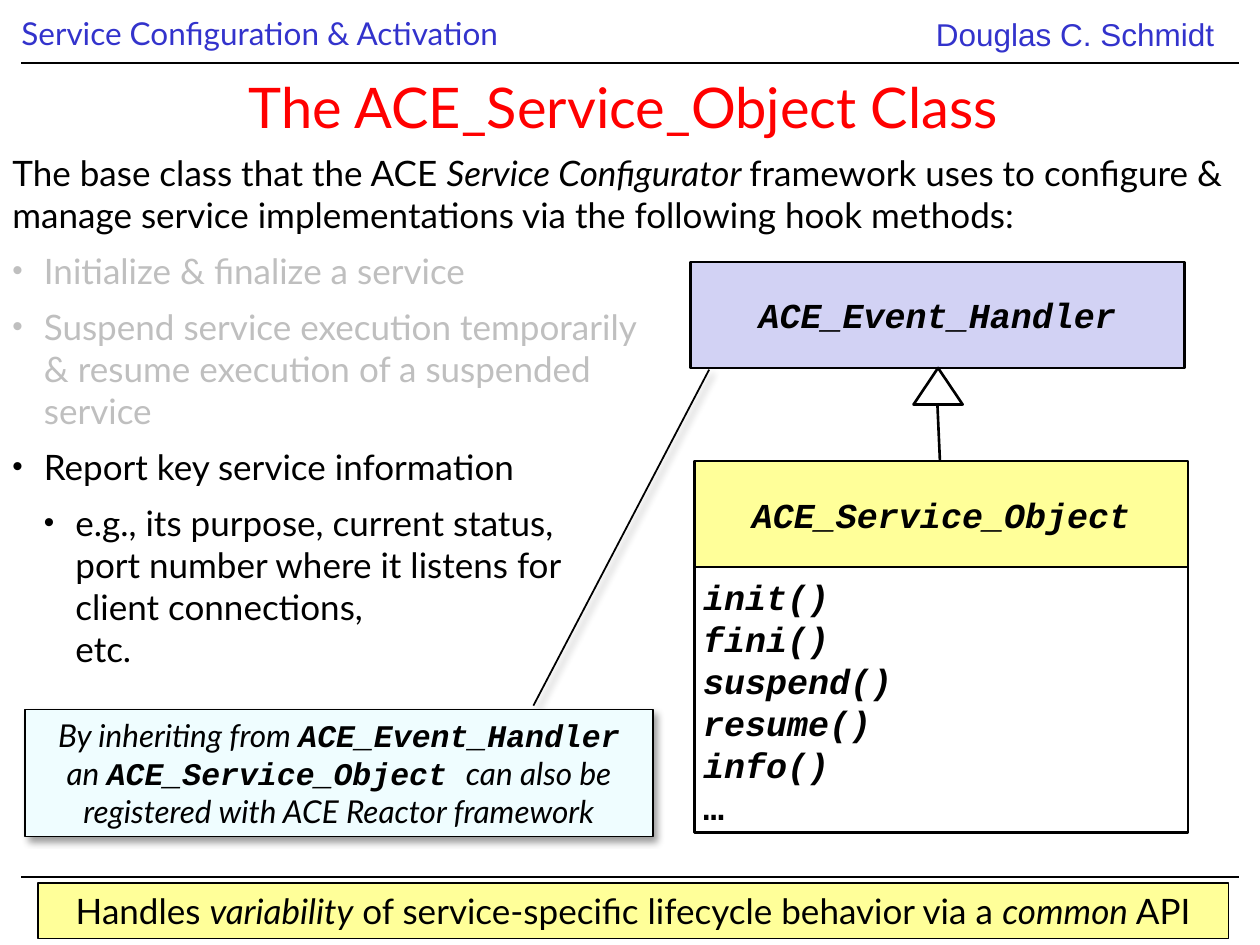
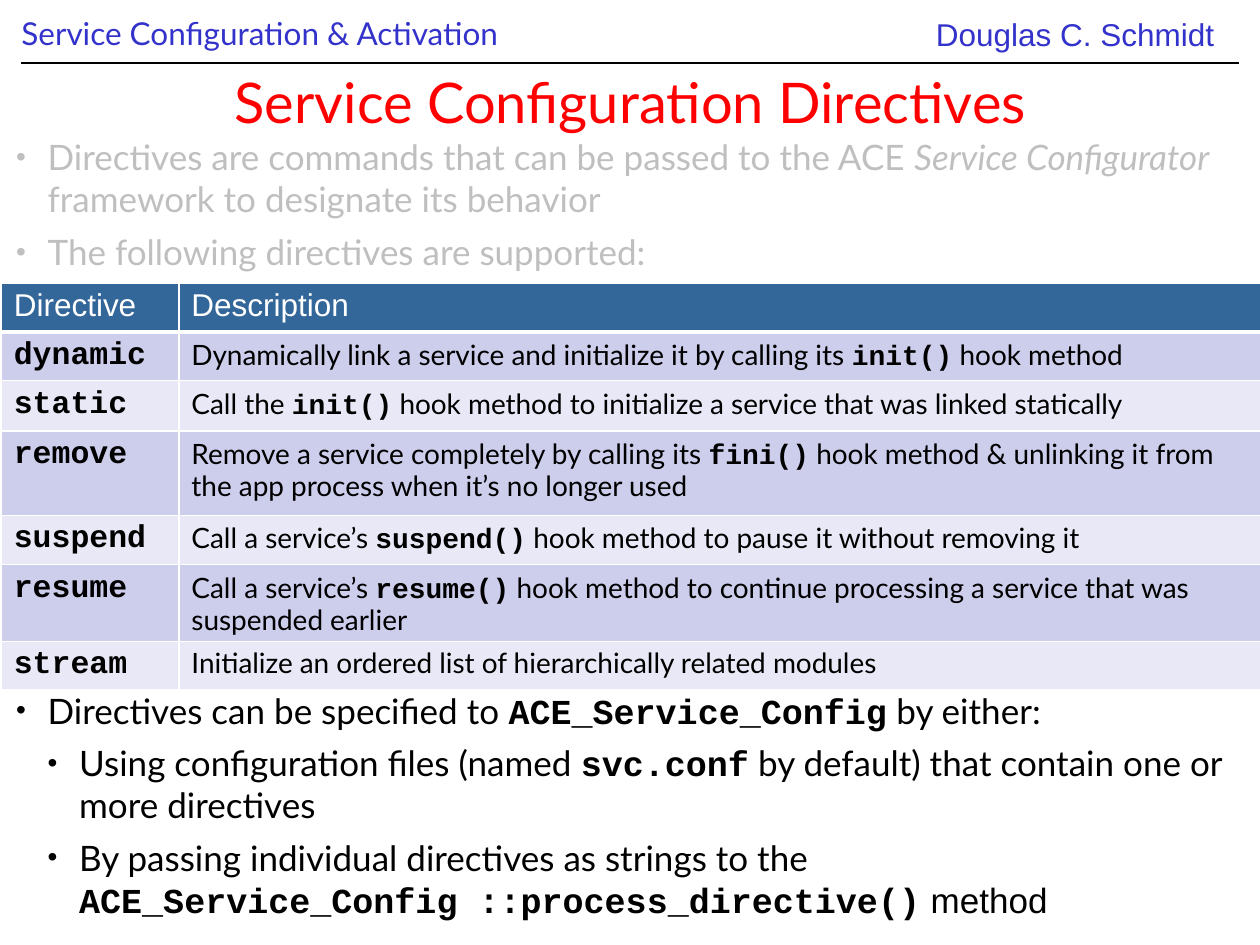
from lxml.etree import SubElement
from pptx import Presentation
from pptx.dml.color import RGBColor
from pptx.enum.shapes import MSO_CONNECTOR, MSO_SHAPE
from pptx.enum.text import MSO_ANCHOR, PP_ALIGN
from pptx.oxml.ns import qn
from pptx.util import Inches, Pt

COLORS = {
    "text": "000000", "muted": "BFBFBF", "header": "3333CC", "title": "FF0000",
    "white": "FFFFFF", "yellow": "FFFF99", "lilac": "D2D2F4", "mint": "EFFDFF",
    "table_head": "336699", "row_dark": "CDCDEC", "row_light": "E8E8F6",
}
BODY, CODE, SANS = "Lato", "Courier New", "Arial"


def rgb(name):
    return RGBColor.from_string(COLORS[name])


def child(parent, tag, **attrs):
    return SubElement(parent, qn(tag), {k: str(v) for k, v in attrs.items()})


class Deck:
    def __init__(self):
        self.prs = Presentation()
        self.prs.slide_width, self.prs.slide_height = Inches(10), Inches(7.5)
        self.s = None

    def slide(self, title, title_box):
        """Start a slide with its title and the shared header."""
        self.s = self.prs.slides.add_slide(self.prs.slide_layouts[5])
        sp = self.s.shapes.title
        sp.left, sp.top, sp.width, sp.height = map(Inches, title_box)
        sp.text_frame.vertical_anchor = MSO_ANCHOR.MIDDLE
        self.fill_text(sp.text_frame, [title], size=32, color="title",
                       align=PP_ALIGN.CENTER)
        tf = self.text((0.17, 0.06, 5.92, 0.4), ["Service Configuration & Activation"],
                       size=18, color="header")
        tf.margin_left = tf.margin_right = 0
        self.text((7.33, 0.07, 2.51, 0.4), ["Douglas C. Schmidt"],
                  size=18, font=SANS, color="header")
        self.line(0.17, 0.5, 9.83, 0.5)

    def paragraph(self, p, text, size=20, font=BODY, color="text", bold=False,
                  italic=False, align=None, mark="code", before=0, spacing=None,
                  bullet=None, level=0):
        """Fill p; parts between bars take the mark style, newlines break lines."""
        pPr = p._p.get_or_add_pPr()
        if bullet:
            p.level = level
            pPr.set("marL", str(Inches(0.25 * (level + 1))))
            pPr.set("indent", str(Inches(-0.25)))
            child(pPr, "a:buSzPct", val=bullet * 1000)
            child(pPr, "a:buFont", typeface=SANS)
            child(pPr, "a:buChar", char="•")
        p.space_before = Pt(before)
        if align is not None:
            p.alignment = align
        if spacing:
            p.line_spacing = spacing
        f = p.font
        f.size, f.name, f.bold, f.italic = Pt(size), font, bold, italic
        f.color.rgb = rgb(color)
        for i, part in enumerate(text.split("|")):
            for j, piece in enumerate(part.split("\n")):
                if j:
                    p.add_line_break()
                if not piece:
                    continue
                r = p.add_run()
                r.text = piece
                if i % 2 and mark == "code":
                    r.font.name, r.font.bold = CODE, True
                elif i % 2:
                    r.font.italic = True

    def fill_text(self, tf, items, **style):
        """Add paragraphs; an item is a text or a (text, own style) pair."""
        tf.word_wrap = True
        for i, item in enumerate(items):
            text, own = (item, {}) if isinstance(item, str) else item
            p = tf.add_paragraph() if i else tf.paragraphs[0]
            options = {**style, **own}
            if not i:
                options["before"] = 0
            self.paragraph(p, text, **options)

    def text(self, box, items, **style):
        tf = self.s.shapes.add_textbox(*map(Inches, box)).text_frame
        self.fill_text(tf, items, **style)
        return tf

    def shape(self, box, fill, items=(), kind=MSO_SHAPE.RECTANGLE, width=1.5, **style):
        sp = self.s.shapes.add_shape(kind, *map(Inches, box))
        sp.shadow.inherit = False
        sp.fill.solid()
        sp.fill.fore_color.rgb = rgb(fill)
        sp.line.color.rgb = rgb("text")
        sp.line.width = Pt(width)
        sp.text_frame.vertical_anchor = MSO_ANCHOR.MIDDLE
        self.fill_text(sp.text_frame, items, **{"align": PP_ALIGN.CENTER, **style})
        return sp

    def callout(self, box, tail, items, **style):
        sp = self.shape(box, "mint", items, MSO_SHAPE.LINE_CALLOUT_1, 1, **style)
        for i, value in enumerate(tail):
            sp.adjustments[i] = value
        effects = sp._element.spPr.find(qn("a:effectLst"))
        shadow = child(effects, "a:outerShdw", blurRad=Pt(4), dist=Pt(3),
                       dir=45 * 60000, algn="tl", rotWithShape=0)
        child(child(shadow, "a:srgbClr", val=COLORS["text"]), "a:alpha", val=40000)

    def line(self, x1, y1, x2, y2, width=0.75):
        cx = self.s.shapes.add_connector(MSO_CONNECTOR.STRAIGHT,
                                         *map(Inches, (x1, y1, x2, y2)))
        cx.line.color.rgb = rgb("text")
        cx.line.width = Pt(width)
        child(cx._element.spPr, "a:effectLst")

    def cell(self, cell, text, fill, header=False, **style):
        tcPr = cell._tc.get_or_add_tcPr()
        for side in "LRTB":
            ln = child(tcPr, "a:ln" + side, w=Pt(3 if header and side == "B" else 1))
            child(child(ln, "a:solidFill"), "a:srgbClr", val=COLORS["white"])
        cell.fill.solid()
        cell.fill.fore_color.rgb = rgb(fill)
        self.fill_text(cell.text_frame, [text], spacing=0.95, **style)

    def table(self, box, columns, heights, header, rows):
        table = self.s.shapes.add_table(len(heights), len(columns),
                                        *map(Inches, box)).table
        table.horz_banding = False
        for column, width in zip(table.columns, columns):
            column.width = Inches(width)
        for row, height in zip(table.rows, heights):
            row.height = Inches(height)
        for c, text in enumerate(header):
            self.cell(table.cell(0, c), text, "table_head", header=True,
                      size=18, font=SANS, color="white")
        for i, (name, description) in enumerate(rows, 1):
            fill = "row_dark" if i % 2 else "row_light"
            self.cell(table.cell(i, 0), name, fill, size=18, font=CODE, bold=True)
            self.cell(table.cell(i, 1), description, fill, size=16)


def service_object_slide(deck):
    deck.slide("The ACE_Service_Object Class", (0.51, 0.34, 8.88, 1))
    deck.line(0.17, 6.96, 9.83, 6.96)
    bullet = {"bullet": 85}
    muted = {"bullet": 85, "color": "muted"}
    deck.text((0, 1.15, 9.92, 4.34), [
        "The base class that the ACE |Service Configurator |framework uses to "
        "configure & manage service implementations via the following hook methods:",
        ("Initialize & finalize a service", muted),
        ("Suspend service execution temporarily\n& resume execution of a suspended "
         "\nservice", muted),
        ("Report key service information", bullet),
        ("e.g., its purpose, current status, \nport number where it listens for "
         "\nclient connections, \netc.", {**bullet, "level": 1}),
    ], mark="italic", before=8)

    code = {"font": CODE, "bold": True, "italic": True}
    deck.line(7.46, 3.66, 7.44, 3.21, 1.5)
    methods = ["init()", "fini()", "suspend()", "resume()", "info()",
               ("…", {"italic": False})]
    tf = deck.shape((5.51, 4.5, 3.92, 2.11), "white", methods, align=PP_ALIGN.LEFT,
                    spacing=Pt(24), **code).text_frame
    tf.vertical_anchor = MSO_ANCHOR.TOP
    tf.margin_left = tf.margin_top = Inches(0.07)
    deck.shape((5.51, 3.66, 3.92, 0.84), "yellow", ["ACE_Service_Object"], **code)
    deck.shape((5.48, 2.08, 3.92, 0.84), "lilac", ["ACE_Event_Handler"], **code)
    deck.shape((7.25, 2.92, 0.39, 0.29), "white", kind=MSO_SHAPE.ISOSCELES_TRIANGLE)

    deck.callout((0.2, 5.63, 4.98, 1.01), (-0.03, 0.81, -2.67, 1.09), [
        "By inheriting from |ACE_Event_Handler |an |ACE_Service_Object |can also be "
        "registered with ACE Reactor framework"], size=18, italic=True)
    deck.shape((0.3, 7.01, 9.45, 0.44), "yellow", [
        "Handles |variability| of service-specific lifecycle behavior via a "
        "|common| API"], width=1, mark="italic")


def directives_slide(deck):
    deck.slide("Service Configuration Directives", (0.17, 0.59, 9.67, 0.42))
    deck.text((0.03, 1.03, 9.88, 1.2), [
        "Directives are commands that can be passed to the ACE |Service Configurator| "
        "framework to designate its behavior",
        "The following directives are supported:",
    ], color="muted", mark="italic", before=6, bullet=80)

    deck.table(
        (0.01, 2.25, 10.01, 3.22), (1.41, 8.6),
        (0.38, 0.38, 0.4, 0.67, 0.39, 0.61, 0.38), ("Directive", "Description"), [
            ("dynamic", "Dynamically link a service and initialize it by calling its "
                        "|init()| hook method"),
            ("static", "Call the |init()| hook method to initialize a service that "
                       "was linked statically"),
            ("remove", "Remove a service completely by calling its |fini()| hook "
                       "method & unlinking it from the app process when it’s no "
                       "longer used"),
            ("suspend", "Call a service’s |suspend()| hook method to pause it without "
                        "removing it"),
            ("resume", "Call a service’s |resume()| hook method to continue "
                       "processing a service that was suspended earlier"),
            ("stream", "Initialize an ordered list of hierarchically related modules"),
        ])

    sub = {"level": 1}
    tf = deck.text((0.03, 5.42, 9.88, 2), [
        "Directives can be specified to |ACE_Service_Config| by either:",
        ("Using configuration files (named |svc.conf| by default) that contain one "
         "or more directives", sub),
        ("By passing individual directives as strings to the "
         "|ACE_Service_Config ::process_directive()| method", sub),
    ], before=6, bullet=80)
    tf.paragraphs[-1].runs[-1].font.name = SANS


def main():
    deck = Deck()
    service_object_slide(deck)
    directives_slide(deck)
    deck.prs.save("out.pptx")


if __name__ == "__main__":
    main()
